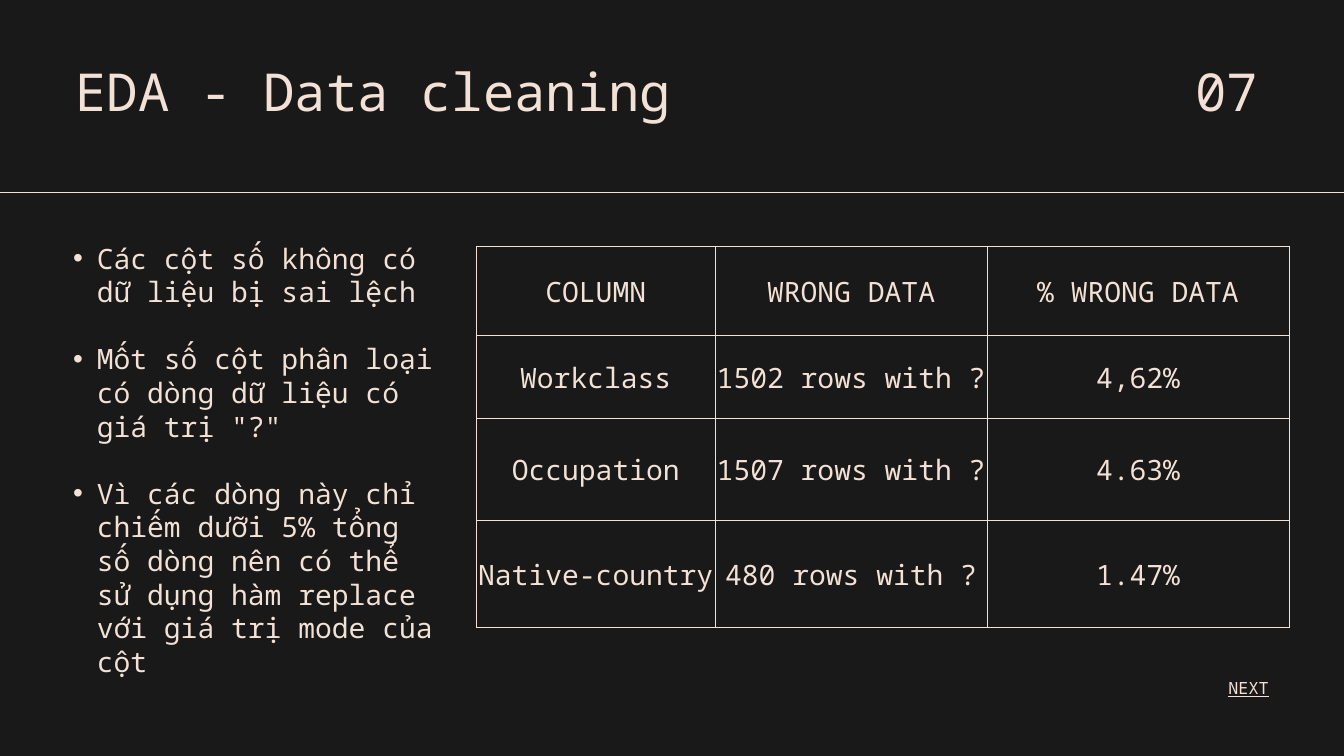
"""Builds the data cleaning slide with its findings list and table of wrong data."""
from dataclasses import dataclass

from lxml.etree import SubElement
from pptx import Presentation
from pptx.dml.color import RGBColor
from pptx.enum.shapes import MSO_CONNECTOR as Connector
from pptx.enum.text import MSO_ANCHOR as Anchor, MSO_AUTO_SIZE as AutoSize, PP_ALIGN as Align
from pptx.oxml.ns import qn
from pptx.util import Inches, Pt

WIDTH, HEIGHT = Inches(20), Inches(11.25)
DARK, CREAM = "191919", "F2E1D4"
FONT = "Noto Sans Mono"
HAIRLINE = Pt(0.75)


@dataclass(frozen=True)
class Area:
    """A rectangle in percent of the slide's width and height."""
    left: float
    top: float
    width: float
    height: float

    def lengths(self) -> tuple[int, int, int, int]:
        return across(self.left), down(self.top), across(self.width), down(self.height)


@dataclass(frozen=True)
class Label:
    """A single line of text and its format."""
    text: str
    area: Area
    size: float
    align: Align = Align.LEFT
    underline: bool = False


LABELS = [
    Label("EDA - Data cleaning", Area(5.6, 7.82, 65.4, 9.07), 56),
    Label("07", Area(85.55, 7.82, 8.05, 9.07), 56, Align.RIGHT),
    Label("NEXT", Area(74.4, 89.69, 20, 2.84), 18, Align.RIGHT, True),
]
FINDINGS_AREA = Area(3.65, 31.91, 29.25, 49.42)
FINDINGS = [
    "Các cột số không có dữ liệu bị sai lệch",
    'Mốt số cột phân loại có dòng dữ liệu có giá trị "?"',
    "Vì các dòng này chỉ chiếm dưỡi 5% tổng số dòng nên có thể "
    "sử dụng hàm replace với giá trị mode của cột",
]
TABLE_AREA = Area(35.45, 32.53, 60.45, 50.49)
COLUMN_SHARES = [3.55, 4.05, 4.49]
ROW_SHARES = [1.33, 1.23, 1.53, 1.59]
ROWS = [
    ("COLUMN", "WRONG DATA", "% WRONG DATA"),
    ("Workclass", "1502 rows with ?", "4,62%"),
    ("Occupation", "1507 rows with ?", "4.63%"),
    ("Native-country", "480 rows with ?", "1.47%"),
]


def across(percent: float) -> int:
    """Turn a share of the slide's width into a length."""
    return round(WIDTH * percent / 100)


def down(percent: float) -> int:
    """Turn a share of the slide's height into a length."""
    return round(HEIGHT * percent / 100)


def paint(fill, color: str) -> None:
    """Make a fill solid in the given colour."""
    fill.solid()
    fill.fore_color.rgb = RGBColor.from_string(color)


def write(para, text: str, *, size: float, spacing: float = 1.2, align: Align = Align.LEFT,
          underline: bool = False, before: float = 0) -> None:
    """Write formatted text into a paragraph."""
    para.alignment = align
    para.line_spacing = Pt(size * spacing)
    para.space_before = Pt(before)
    span = para.add_run()
    span.text = text
    span.font.name = FONT
    span.font.size = Pt(size)
    span.font.underline = underline or None
    paint(span.font.fill, CREAM)


def clear_margins(holder) -> None:
    """Remove the inner margins of a text frame or table cell."""
    holder.margin_left = holder.margin_right = holder.margin_top = holder.margin_bottom = 0


def add_frame(page, area: Area):
    """Add a wrapping text box without margins and return its frame."""
    frame = page.shapes.add_textbox(*area.lengths()).text_frame
    clear_margins(frame)
    frame.word_wrap = True
    frame.auto_size = AutoSize.SHAPE_TO_FIT_TEXT
    return frame


def add_label(page, label: Label) -> None:
    """Add one line of text."""
    write(add_frame(page, label.area).paragraphs[0], label.text, size=label.size,
          align=label.align, underline=label.underline)


def add_bullets(page, area: Area, items: list[str]) -> None:
    """Add a bulleted list with one line of space between items."""
    frame = add_frame(page, area)
    for index, item in enumerate(items):
        para = frame.add_paragraph() if index else frame.paragraphs[0]
        write(para, item, size=30, before=36 if index else 0)
        properties = para._p.get_or_add_pPr()
        properties.set("lvl", "1")
        properties.set("marL", str(Inches(0.71)))
        properties.set("indent", str(Inches(-0.35)))
        SubElement(properties, qn("a:buFont"), typeface="Arial")
        SubElement(properties, qn("a:buChar"), char="•")


def add_borders(cell, color: str) -> None:
    """Draw a thin line on each side of a table cell."""
    properties = cell._tc.get_or_add_tcPr()
    for side in "LRTB":
        line = SubElement(properties, qn(f"a:ln{side}"), w=str(HAIRLINE))
        SubElement(SubElement(line, qn("a:solidFill")), qn("a:srgbClr"), val=color)


def add_grid(page, area: Area, rows: list[tuple[str, ...]]) -> None:
    """Add the bordered table with a filled header row."""
    table = page.shapes.add_table(len(rows), len(rows[0]), *area.lengths()).table
    table.first_row = table.horz_banding = False
    for column, share in zip(table.columns, COLUMN_SHARES):
        column.width = across(area.width * share / sum(COLUMN_SHARES))
    for row, share in zip(table.rows, ROW_SHARES):
        row.height = down(area.height * share / sum(ROW_SHARES))
    for row_index, texts in enumerate(rows):
        for column_index, text in enumerate(texts):
            cell = table.cell(row_index, column_index)
            clear_margins(cell)
            cell.vertical_anchor = Anchor.MIDDLE
            add_borders(cell, CREAM)
            if row_index == 0:
                paint(cell.fill, DARK)
            else:
                cell.fill.background()
            write(cell.text_frame.paragraphs[0], text, size=30, spacing=1.4, align=Align.CENTER)


def add_rule(page, top: float, overhang: float) -> None:
    """Add a thin line across the slide, running a little past both edges."""
    rule = page.shapes.add_connector(Connector.STRAIGHT, across(-overhang), down(top),
                                     across(100 + overhang), down(top))
    paint(rule.line.fill, CREAM)
    rule.line.width = HAIRLINE
    SubElement(rule._element.spPr, qn("a:effectLst"))


def main() -> None:
    """Build and save the deck."""
    deck = Presentation()
    deck.slide_width, deck.slide_height = WIDTH, HEIGHT
    page = deck.slides.add_slide(deck.slide_layouts[6])
    paint(page.background.fill, DARK)
    add_grid(page, TABLE_AREA, ROWS)
    add_rule(page, top=25.42, overhang=1.25)
    for label in LABELS:
        add_label(page, label)
    add_bullets(page, FINDINGS_AREA, FINDINGS)
    deck.save("out.pptx")


if __name__ == "__main__":
    main()
